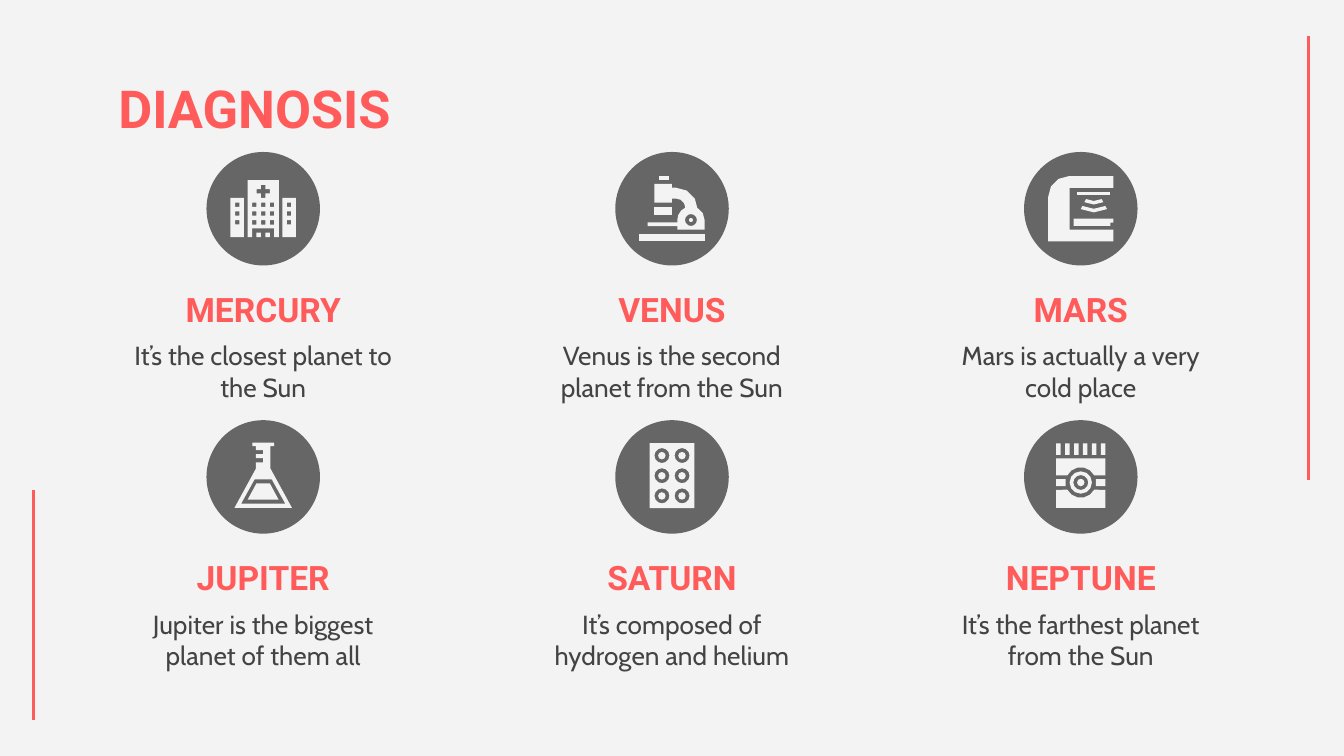
from dataclasses import dataclass
from math import ceil, cos, radians, sin

from pptx import Presentation
from pptx.dml.color import RGBColor
from pptx.enum.shapes import MSO_CONNECTOR, MSO_SHAPE
from pptx.enum.text import MSO_ANCHOR, MSO_AUTO_SIZE, PP_ALIGN
from pptx.oxml.xmlchemy import OxmlElement
from pptx.util import Pt


@dataclass(frozen=True)
class Theme:
    paper: RGBColor = RGBColor(0xF3, 0xF3, 0xF3)
    accent: RGBColor = RGBColor(0xFF, 0x5B, 0x5B)
    text: RGBColor = RGBColor(0x43, 0x43, 0x43)
    badge: RGBColor = RGBColor(0x66, 0x66, 0x66)
    display: str = "Roboto"
    body: str = "Cabin"
    title_size: int = 28
    name_size: int = 18
    body_size: int = 14


THEME = Theme()

# Grid of items: badge centres, in points
FIRST_X, FIRST_Y = 141, 111.8
STEP_X, STEP_Y = 219, 143.7
BADGE = 60.8
ITEM_W = 169.2


# Contours, in points from the badge centre
def box(x, y, w, h):
    return [(x, y), (x + w, y), (x + w, y + h), (x, y + h)]


def arc(cx, cy, radius, start, end):
    steps = ceil(abs(end - start) / 30)
    angles = [radians(start + (end - start) * i / steps) for i in range(steps + 1)]
    return [(cx + radius * cos(a), cy + radius * sin(a)) for a in angles]


def circle(cx, cy, radius):
    sides = 8 if radius <= 2 else 12
    angles = [radians(360 * i / sides) for i in range(sides)]
    return [(cx + radius * cos(a), cy + radius * sin(a)) for a in angles]


def mirrored(left):
    return left + [(-x, y) for x, y in reversed(left)]


# Icons: a list of pieces, each a list of contours; inner contours are holes
def hospital():
    pane, rows = 2.3, (-3.2, 1.5, 6.2)
    wings = [[box(x, -5.8, 7.2, 21.1)] + [box(x + 2.45, y, pane, pane) for y in rows]
             for x in (-17.5, 10.3)]
    tower = mirrored([(-8.4, -15.3), (-8.4, 15.3), (-5.9, 15.3), (-5.9, 10.6)])
    cross = mirrored([(-1.2, -12.7), (-1.2, -10.4), (-3.5, -10.4),
                      (-3.5, -8.1), (-1.2, -8.1), (-1.2, -5.8)])
    panes = [box(x, y, pane, pane) for x in (-5.9, -1.15, 3.6) for y in rows]
    doors = [box(x, 12.8, 2.4, 2.5) for x in (-3.6, 1.2)]
    return wings + [[tower, cross] + panes, doors]


def microscope():
    wheel = (10.2, 6.1)
    body = ([(-9.4, -13.3), (-9.4, -3.2), (0, -3.2), (0, -5.4)]
            + arc(2.2, -0.4, 5, -90, 0)
            + arc(*wheel, 7.3, 245, 180)
            + [(2.9, 7.4), (-13, 7.4), (-13, 9.4), (2.9, 9.4), (2.9, 11.3), (17.5, 11.3)]
            + arc(*wheel, 7.3, 360, 300)
            + arc(2.2, 0.4, 11.6, 0, -90)
            + [(0, -11.2), (0, -13.3)])
    return [[body, circle(*wheel, 3.2)], [circle(*wheel, 1.1)],
            [box(-9.4, -1.1, 9.4, 4.3)], [box(-17.5, 13.4, 35, 3.9)],
            [box(-7, -17.6, 5.6, 2.2)]]


def scanner():
    frame = (arc(-6.2, -6.2, 11.3, 180, 270)
             + [(17.5, -17.5), (17.5, -11.2), (-5.9, -11.2), (-5.9, 11.2),
                (17.5, 11.2), (17.5, 17.5), (-17.5, 17.5)])
    table = [(-3.9, 5.4), (-3.9, 9.2), (15.8, 9.2), (15.8, 7.5), (17.5, 7.5), (17.5, 5.4)]
    waves = [arc(7, -13, r, 62, 118) + arc(7, -13, r - 1.9, 118, 62)
             for r in (10.8, 15)]
    return [[frame], [table], [box(-1.8, -9, 17.6, 1.8)], waves]


def flask():
    glass = [(-5.8, -18.4), (-5.8, -16.5), (-3.9, -16.5), (-3.9, -14.4), (0, -14.4),
             (0, -12.2), (-3.9, -12.2), (-3.9, -10), (0, -10), (0, -7.8), (-3.9, -7.8),
             (-3.9, -4.4), (-15.4, 16.6), (15.4, 16.6), (3.9, -4.4), (3.9, -16.5),
             (5.8, -16.5), (5.8, -18.4)]
    hollow = mirrored([(-4.6, 1.3), (-11.8, 14.3)])
    liquid = mirrored([(-3.6, 3.5), (-8.3, 12.2)])
    return [[glass, hollow], [liquid]]


def pill_pack():
    centres = [(x, y) for x in (-5.4, 5.4) for y in (-11.4, -0.6, 10.2)]
    sheet = [box(-12, -18, 24, 34.8)] + [circle(*c, 4) for c in centres]
    return [sheet, [circle(*c, 2) for c in centres]]


def swab_box():
    half, mid = 13.2, 3
    swabs = [box(-half + 4.8 * i, -18, 2.4, 6.2) for i in range(6)]
    top = [(-half, -0.9), (-half, -10), (half, -10), (half, -0.9)] + arc(0, mid, 8.2, -28, -152)
    base = [(-half, 7), (-half, 16.6), (half, 16.6), (half, 7)] + arc(0, mid, 8.2, 28, 152)
    bands = [box(x, 1.2, 5.1, 3.8) for x in (-half, half - 5.1)]
    seal = [circle(0, mid, radius) for radius in (6, 4, 2)]
    return [swabs, [top], [base], bands, seal]


ITEMS = [
    ("MERCURY", "It’s the closest planet to the Sun", hospital),
    ("VENUS", "Venus is the second planet from the Sun", microscope),
    ("MARS", "Mars is actually a very cold place", scanner),
    ("JUPITER", "Jupiter is the biggest planet of them all", flask),
    ("SATURN", "It’s composed of hydrogen and helium", pill_pack),
    ("NEPTUNE", "It’s the farthest planet from the Sun", swab_box),
]


def paint(sp, color):
    sp.shadow.inherit = False
    sp.fill.solid()
    sp.fill.fore_color.rgb = color
    sp.line.fill.background()


def write_text(sp, text, font, size, color, bold=False, align=PP_ALIGN.CENTER):
    tf = sp.text_frame
    tf.word_wrap = True
    tf.auto_size = MSO_AUTO_SIZE.NONE
    tf.vertical_anchor = MSO_ANCHOR.TOP
    tf.margin_left = tf.margin_right = tf.margin_top = tf.margin_bottom = Pt(7.2)
    p = tf.paragraphs[0]
    p.text = text
    p.alignment = align
    p.font.name, p.font.size, p.font.bold = font, Pt(size), bold
    p.font.color.rgb = color


def add_title(s, text):
    sp = s.shapes.title
    sp.left, sp.top, sp.width, sp.height = Pt(56.2), Pt(33.8), Pt(607.7), Pt(36.7)
    write_text(sp, text, THEME.display, THEME.title_size, THEME.accent, True, PP_ALIGN.LEFT)


def add_rule(s, x, start_y, end_y):
    line = s.shapes.add_connector(MSO_CONNECTOR.STRAIGHT, Pt(x), Pt(start_y), Pt(x), Pt(end_y))
    line.line.color.rgb = THEME.accent
    line.line.width = Pt(1.5)
    line._element.spPr.append(OxmlElement("a:effectLst"))


def add_icon(s, cx, cy, pieces):
    for contours in pieces:
        placed = [[(Pt(cx + x), Pt(cy + y)) for x, y in c] for c in contours]
        builder = s.shapes.build_freeform(*placed[0][0])
        builder.add_line_segments(placed[0][1:])
        for contour in placed[1:]:
            builder.move_to(*contour[0])
            builder.add_line_segments(contour[1:])
        paint(builder.convert_to_shape(), THEME.paper)


def add_item(s, cx, cy, name, fact, icon):
    left = Pt(cx - ITEM_W / 2)
    sp = s.shapes.add_textbox(left, Pt(cy + 63.1), Pt(ITEM_W), Pt(44))
    write_text(sp, fact, THEME.body, THEME.body_size, THEME.text)
    sp = s.shapes.add_textbox(left, Pt(cy + 35.6), Pt(ITEM_W), Pt(29.5))
    write_text(sp, name, THEME.display, THEME.name_size, THEME.accent, True)
    sp = s.shapes.add_shape(MSO_SHAPE.OVAL, Pt(cx - BADGE / 2), Pt(cy - BADGE / 2),
                            Pt(BADGE), Pt(BADGE))
    paint(sp, THEME.badge)
    add_icon(s, cx, cy, icon())


def main():
    prs = Presentation()
    prs.slide_width, prs.slide_height = Pt(720), Pt(405)
    s = prs.slides.add_slide(prs.slide_layouts[5])
    s.background.fill.solid()
    s.background.fill.fore_color.rgb = THEME.paper

    # Side rules and title
    add_rule(s, 18, 385.9, 262.6)
    add_rule(s, 700.8, 257, 19.3)
    add_title(s, "DIAGNOSIS")

    # Three columns by two rows
    for i, item in enumerate(ITEMS):
        row, col = divmod(i, 3)
        add_item(s, FIRST_X + col * STEP_X, FIRST_Y + row * STEP_Y, *item)

    prs.save("out.pptx")


if __name__ == "__main__":
    main()
